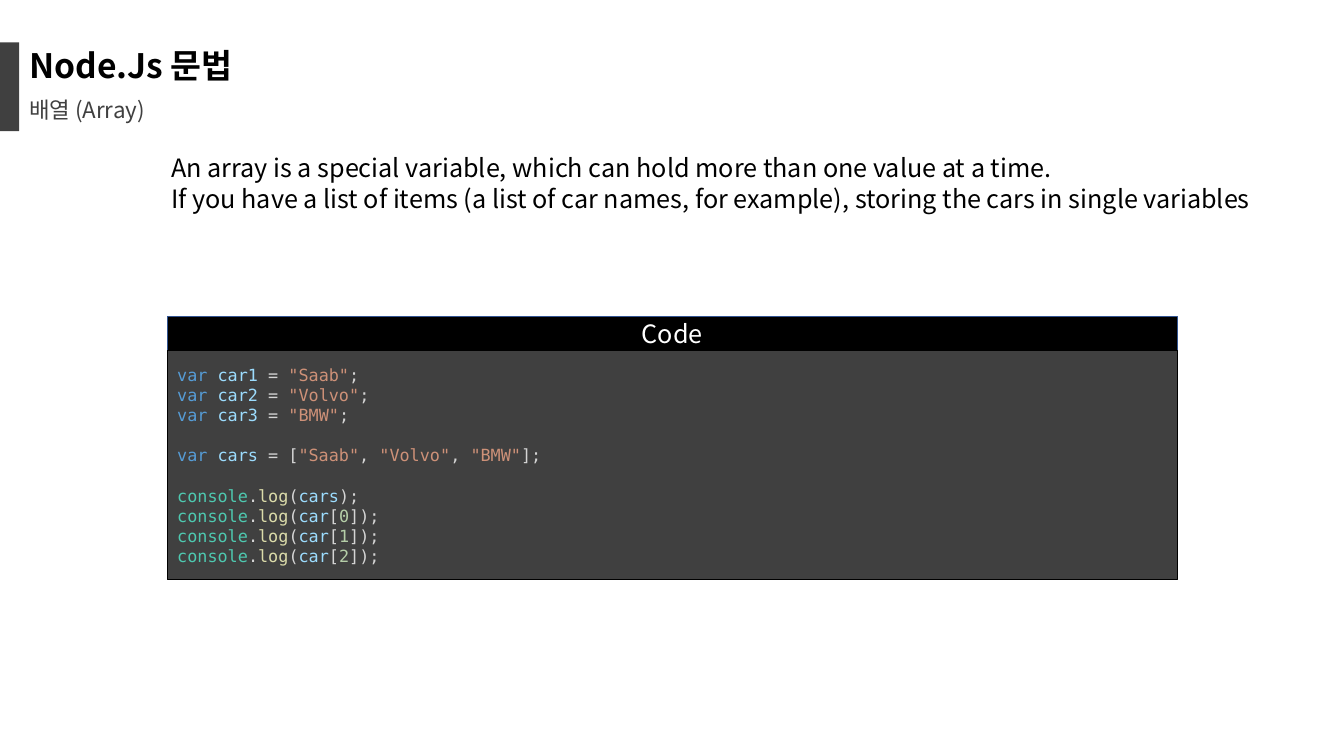
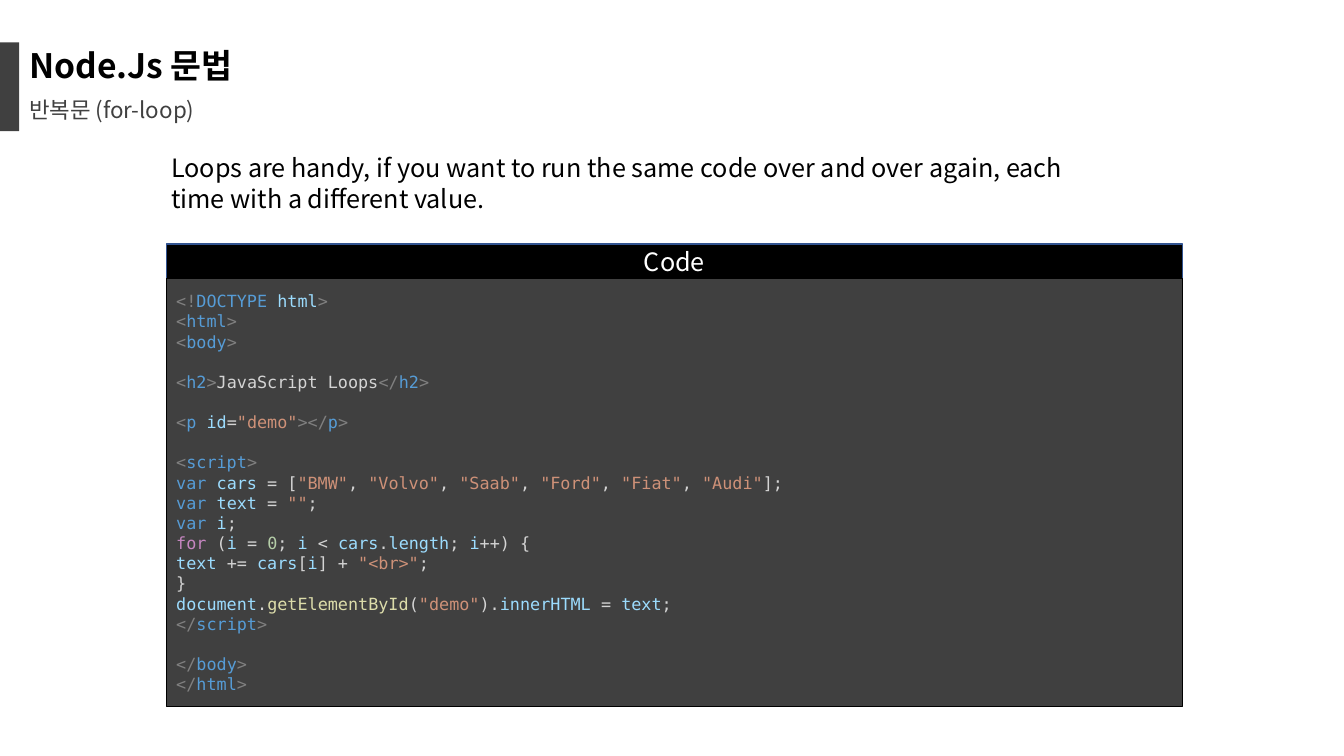
from pptx import Presentation
from pptx.dml.color import RGBColor
from pptx.enum.shapes import MSO_SHAPE as Kind
from pptx.enum.text import MSO_ANCHOR as Anchor, MSO_AUTO_SIZE as Fit, PP_ALIGN as Align
from pptx.oxml.ns import qn
from pptx.util import Pt
from lxml import etree

SANS, MONO = "Noto Sans CJK KR", "DejaVu Sans Mono"
BLACK, GREY, WHITE, BLUE = "000000", "404040", "FFFFFF", "325491"

# Code colours: each piece of code starts with ~ and one of these letters
HUES = {
    "k": "569CD6",  # keyword or tag
    "v": "9CDCFE",  # variable
    "d": "D4D4D4",  # default
    "s": "CE9178",  # string
    "o": "4EC9B0",  # object
    "f": "DCDCAA",  # function
    "n": "B5CEA8",  # number
    "c": "C586C0",  # control
    "t": "808080",  # tag bracket
}


def style(frame, size, hue, font=SANS, lead=1.2, align=Align.LEFT, bold=False):
    frame.word_wrap = True
    frame.auto_size = Fit.NONE
    for para in frame.paragraphs:
        para.alignment = align
        para.line_spacing = Pt(round(size * lead, 1))
        for run in para.runs:
            run.font.size = Pt(size)
            run.font.bold = bold
            run.font.name = font
            run.font.color.rgb = RGBColor.from_string(hue)
            east = etree.SubElement(run.font._element, qn("a:ea"))
            east.set("typeface", font)


def block(slide, left, top, width, height, fill, line=None):
    box = slide.shapes.add_shape(Kind.RECTANGLE, Pt(left), Pt(top), Pt(width), Pt(height))
    box.shadow.inherit = False
    box.fill.solid()
    box.fill.fore_color.rgb = RGBColor.from_string(fill)
    if line:
        box.line.color.rgb = RGBColor.from_string(line)
        box.line.width = Pt(1)
    else:
        box.line.fill.background()
    box.text_frame.vertical_anchor = Anchor.MIDDLE
    return box


ARRAY = [
    '~kvar ~vcar1~d = ~s"Saab"~d;',
    '~kvar ~vcar2~d = ~s"Volvo"~d;',
    '~kvar ~vcar3~d = ~s"BMW"~d;',
    '',
    '~kvar ~vcars~d = [~s"Saab"~d, ~s"Volvo"~d, ~s"BMW"~d];',
    '',
    '~oconsole~d.~flog~d(~vcars~d);',
] + [f'~oconsole~d.~flog~d(~vcar~d[~n{num}~d]);' for num in range(3)]

LOOP = [
    '~t<!~kDOCTYPE ~vhtml~t>',
    '~t<~khtml~t>',
    '~t<~kbody~t>',
    '',
    '~t<~kh2~t>~dJavaScript Loops~t</~kh2~t>',
    '',
    '~t<~kp ~vid~d=~s"demo"~t></~kp~t>',
    '',
    '~t<~kscript~t>',
    '~kvar ~vcars~d = [~s"BMW"~d, ~s"Volvo"~d, ~s"Saab"~d, ~s"Ford"~d, ~s"Fiat"~d, ~s"Audi"~d];',
    '~kvar ~vtext~d = ~s""~d;',
    '~kvar ~vi~d;',
    '~cfor~d (~vi~d = ~n0~d; ~vi~d < ~vcars~d.~vlength~d; ~vi~d++) {',
    '~vtext~d += ~vcars~d[~vi~d] + ~s"<br>"~d;',
    '~d}',
    '~vdocument~d.~fgetElementById~d(~s"demo"~d).~vinnerHTML~d = ~vtext~d;',
    '~t</~kscript~t>',
    '',
    '~t</~kbody~t>',
    '~t</~khtml~t>',
]

# Subtitle, intro, intro width, code panel (left, top, width, height), code
PAGES = [
    ("배열 (Array)",
     "An array is a special variable, which can hold more than one value at a time.\n"
     "If you have a list of items (a list of car names, for example), "
     "storing the cars in single variables",
     800, (119.5, 226, 721.5, 163.5), ARRAY),
    ("반복문 (for-loop)",
     "Loops are handy, if you want to run the same code over and over again, "
     "each time with a different value.",
     675.5, (118.8, 174.3, 725.8, 306), LOOP),
]
HEAD = 24.5  # height of the panel heading

deck = Presentation()
deck.slide_width, deck.slide_height = Pt(960), Pt(540)
layout = deck.slide_layouts[5]

for page, (topic, intro, wide, panel, code) in enumerate(PAGES):
    slide = deck.slides.add_slide(layout)

    # Side bar, kept on the shared layout
    if page == 0:
        bar = block(slide, 0, 30.2, 13.7, 63.4, GREY)
        layout.shapes._spTree.append(bar._element)

    # Title
    title = slide.shapes.title
    title.left, title.top, title.width, title.height = Pt(13.7), Pt(30.2), Pt(203), Pt(36)
    title.text_frame.text = "Node.Js 문법"
    title.text_frame.vertical_anchor = Anchor.TOP
    style(title.text_frame, 24, BLACK, lead=1.125, bold=True)

    # Subtitle and intro
    for text, left, top, width, height, size, hue, lead in (
        (topic, 13.7, 66.2, 203, 26.6, 16, GREY, 1.125),
        (intro, 115.2, 105.5, wide, 51, 18, BLACK, 1.2),
    ):
        box = slide.shapes.add_textbox(Pt(left), Pt(top), Pt(width), Pt(height))
        box.text_frame.text = text
        style(box.text_frame, size, hue, lead=lead)

    # Code panel
    left, top, width, height = panel
    head = block(slide, left, top, width, HEAD, BLACK, BLUE)
    head.text_frame.text = "Code"
    style(head.text_frame, 18, WHITE, align=Align.CENTER)

    body = block(slide, left, top + HEAD, width, height, GREY, BLACK)
    frame = body.text_frame
    frame.text = "\n".join(line.replace("~", "") for line in code if line)
    gaps = [not before for before, line in zip(["~"] + code, code) if line]
    lines = [line for line in code if line]
    for para, line, gap in zip(frame.paragraphs, lines, gaps):
        para.clear()
        for piece in line.split("~")[1:]:
            para.add_run().text = piece[1:]
        if gap:
            para.space_before = Pt(14.4)
    style(frame, 12, WHITE, MONO)
    for para, line in zip(frame.paragraphs, lines):
        for run, piece in zip(para.runs, line.split("~")[1:]):
            run.font.color.rgb = RGBColor.from_string(HUES[piece[0]])

deck.save("out.pptx")
